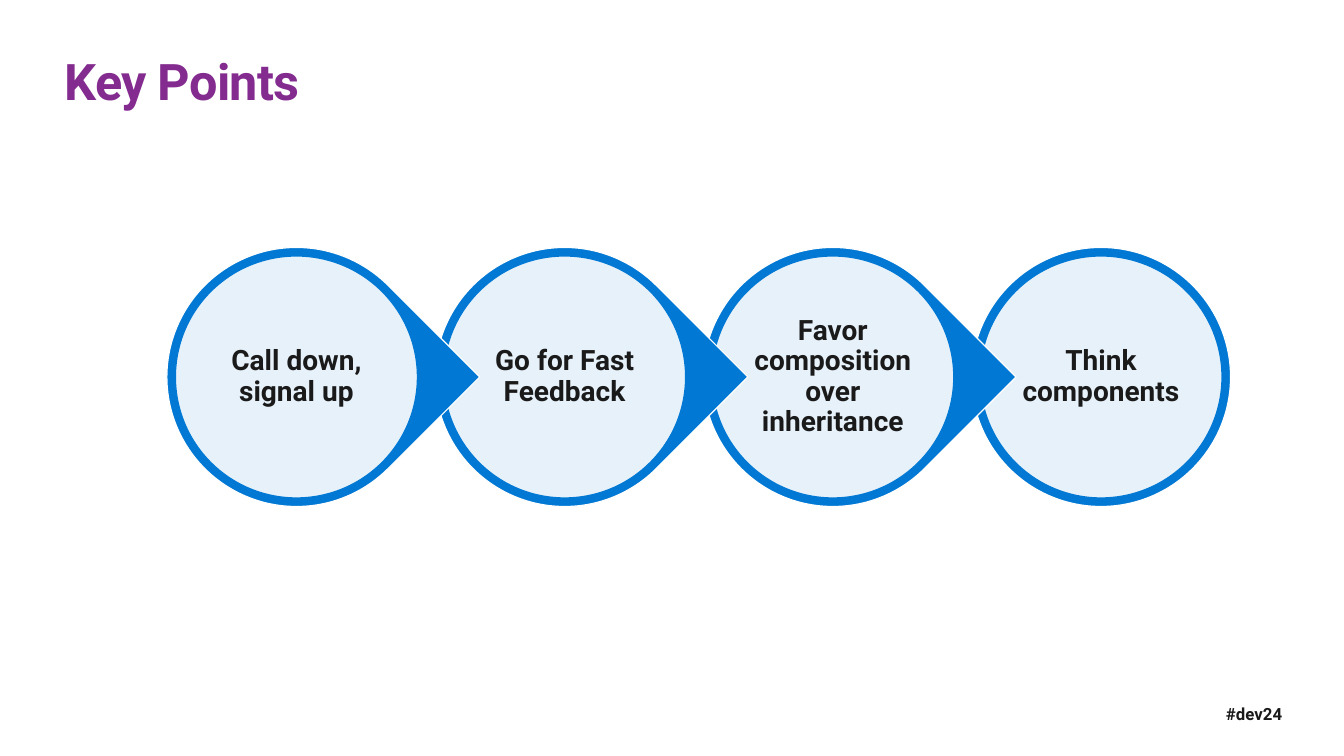
from lxml import etree
from pptx import Presentation
from pptx.dml.color import RGBColor
from pptx.enum.shapes import MSO_SHAPE as Shape
from pptx.enum.text import MSO_ANCHOR as Anchor, MSO_AUTO_SIZE as AutoSize, PP_ALIGN as Align
from pptx.oxml.ns import qn
from pptx.util import Inches, Pt

FONT = "Roboto"
PURPLE, BLUE, WHITE, INK = "832B8F", "0078D4", "FFFFFF", "1A1A1A"

KEY_POINTS = [
    "Call down, signal up",
    "Go for Fast Feedback",
    "Favor composition over inheritance",
    "Think components",
]
FIRST_CENTER, CENTER_STEP, CENTER_Y = 2.94, 2.66, 3.74
RING_SIZE, DISC_SIZE, LABEL_SIZE = 2.57, 2.4, 1.71


def color(hex_string):
    return RGBColor.from_string(hex_string)


def square_box(center, size):
    """Left, top, width and height of a square centred on the row of points."""
    return [Inches(value) for value in (center - size / 2, CENTER_Y - size / 2, size, size)]


def write_text(shape, text, size, text_color, margin=0, anchor=Anchor.TOP, align=Align.LEFT):
    frame = shape.text_frame
    frame.text = text
    frame.word_wrap = True
    frame.auto_size = AutoSize.NONE
    frame.vertical_anchor = anchor
    frame.margin_left = frame.margin_right = Inches(margin)
    frame.margin_top = frame.margin_bottom = Inches(margin)
    paragraph = frame.paragraphs[0]
    paragraph.alignment = align
    font = paragraph.font
    font.name, font.size, font.bold = FONT, Pt(size), True
    font.color.rgb = color(text_color)
    return paragraph


def add_round(slide, kind, center, size, fill, line):
    shape = slide.shapes.add_shape(kind, *square_box(center, size))
    shape.shadow.inherit = False
    shape.fill.solid()
    shape.fill.fore_color.rgb = color(fill)
    shape.line.color.rgb = color(line)
    shape.line.width = Pt(0.85)
    return shape


def set_opacity(shape, percent):
    fill_color = shape.fill._xPr.find(qn("a:solidFill"))[0]
    etree.SubElement(fill_color, qn("a:alpha"), val=str(percent * 1000))


def add_key_point(slide, text, center, points_on):
    """Ring, pale disc and label; the ring points right when another follows."""
    if points_on:
        ring = add_round(slide, Shape.TEAR, center, RING_SIZE, BLUE, WHITE)
        ring.adjustments[0] = 1
        ring.rotation = 45
    else:
        add_round(slide, Shape.OVAL, center, RING_SIZE, BLUE, WHITE)
    disc = add_round(slide, Shape.OVAL, center, DISC_SIZE, WHITE, BLUE)
    set_opacity(disc, 90)
    label = slide.shapes.add_textbox(*square_box(center, LABEL_SIZE))
    paragraph = write_text(label, text, 20, INK, 0.03, Anchor.MIDDLE, Align.CENTER)
    paragraph.line_spacing = 0.9


def add_title(slide, text):
    title = slide.shapes.title
    title.left, title.top = Inches(0.64), Inches(0.5)
    title.width, title.height = Inches(12.05), Inches(0.61)
    paragraph = write_text(title, text, 36, PURPLE)
    paragraph.font._rPr.set("spc", "-50")


def add_hashtag(slide, text):
    hashtag = slide.shapes.add_textbox(Inches(12.16), Inches(6.98), Inches(1.06), Inches(0.2))
    write_text(hashtag, text, 12, INK)


def main():
    presentation = Presentation()
    presentation.slide_width, presentation.slide_height = Inches(13.33), Inches(7.5)
    slide = presentation.slides.add_slide(presentation.slide_layouts[5])

    add_hashtag(slide, "#dev24")
    add_title(slide, "Key Points")
    last = len(KEY_POINTS) - 1
    # Drawn from right to left so that each tip lies over the next ring.
    for index in range(last, -1, -1):
        center = FIRST_CENTER + index * CENTER_STEP
        add_key_point(slide, KEY_POINTS[index], center, points_on=index < last)

    presentation.save("out.pptx")


if __name__ == "__main__":
    main()
